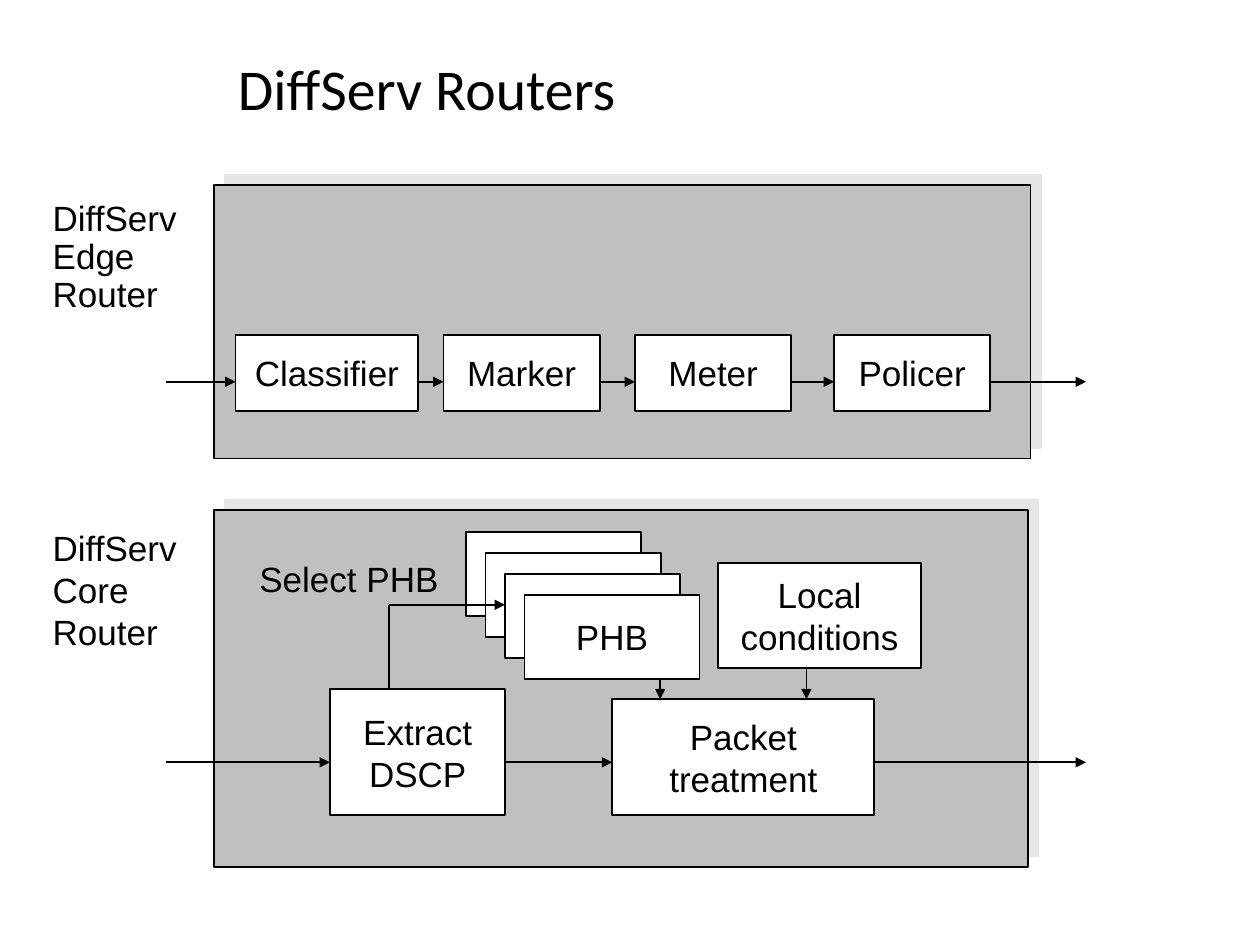
from dataclasses import dataclass
from itertools import pairwise
from typing import NamedTuple

from lxml.etree import SubElement
from pptx import Presentation
from pptx.dml.color import RGBColor
from pptx.enum.shapes import MSO_CONNECTOR, MSO_SHAPE
from pptx.enum.text import MSO_ANCHOR, PP_ALIGN
from pptx.oxml.ns import qn
from pptx.util import Inches, Pt


@dataclass(frozen=True)
class Theme:
    ink: str = "000000"
    panel: str = "C0C0C0"
    paper: str = "FFFFFF"
    shadow: str = "E7E6E6"
    title_font: str = "Calibri"
    body_font: str = "Arial"
    title_size: float = 33
    body_size: float = 20
    line_width: float = 1


class Area(NamedTuple):
    """A rectangle in percent of the slide's width and height."""
    left: float
    top: float
    width: float
    height: float

    @property
    def right(self):
        return self.left + self.width

    @property
    def bottom(self):
        return self.top + self.height


THEME = Theme()
SLIDE_WIDTH, SLIDE_HEIGHT = Inches(10), Inches(7.5)
FLOW_START, FLOW_END = 13.2, 86.2


def across(percent):
    return round(SLIDE_WIDTH * percent / 100)


def down(percent):
    return round(SLIDE_HEIGHT * percent / 100)


def place(area):
    return across(area.left), down(area.top), across(area.width), down(area.height)


def write(shape, text, centred=True, anchor=MSO_ANCHOR.MIDDLE, spacing=None,
          font=THEME.body_font, size=THEME.body_size):
    frame = shape.text_frame
    frame.text = text
    frame.word_wrap = not centred
    frame.vertical_anchor = anchor
    for paragraph in frame.paragraphs:
        paragraph.alignment = PP_ALIGN.CENTER if centred else PP_ALIGN.LEFT
        paragraph.line_spacing = spacing
        for run in paragraph.runs:
            run.font.name = font
            run.font.size = Pt(size)
            run.font.color.rgb = RGBColor.from_string(THEME.ink)


def add_label(slide, area, text, **style):
    write(slide.shapes.add_textbox(*place(area)), text, **style)


def add_box(slide, area, text="", preset=MSO_SHAPE.RECTANGLE, fill=THEME.paper):
    shape = slide.shapes.add_shape(preset, *place(area))
    shape.shadow.inherit = False
    shape.fill.solid()
    shape.fill.fore_color.rgb = RGBColor.from_string(fill)
    shape.line.color.rgb = RGBColor.from_string(THEME.ink)
    shape.line.width = Pt(THEME.line_width)
    if text:
        write(shape, text)
    return shape


def add_router(slide, area):
    """A grey panel with a hard shadow to the upper right."""
    panel = add_box(slide, area, fill=THEME.panel)
    effects = panel._element.spPr.find(qn("a:effectLst"))
    shadow = SubElement(effects, qn("a:outerShdw"), dist=str(Pt(8.5)),
                        dir=str(315 * 60000), algn="ctr", rotWithShape="0")
    SubElement(shadow, qn("a:srgbClr"), val=THEME.shadow)


def add_line(slide, start, end, arrow=True):
    line = slide.shapes.add_connector(
        MSO_CONNECTOR.STRAIGHT, across(start[0]), down(start[1]), across(end[0]), down(end[1]))
    line.line.color.rgb = RGBColor.from_string(THEME.ink)
    line.line.width = Pt(THEME.line_width)
    if arrow:
        SubElement(line.line._get_or_add_ln(), qn("a:tailEnd"), type="triangle")
    SubElement(line._element.spPr, qn("a:effectLst"))


def add_flow(slide, areas, level):
    """Arrows into, between and out of a row of boxes."""
    starts = [FLOW_START] + [area.right for area in areas]
    ends = [area.left for area in areas] + [FLOW_END]
    for start, end in zip(starts, ends):
        add_line(slide, (start, level), (end, level))


def add_edge_router(slide):
    add_router(slide, Area(17, 19.6, 64.8, 28.93))
    add_label(slide, Area(3.2, 20.67, 12.7, 13.47), "DiffServ\vEdge\vRouter",
              centred=False, anchor=MSO_ANCHOR.TOP, spacing=0.9)
    steps = {"Classifier": (18.7, 14.5), "Marker": (35.2, 12.4),
             "Meter": (50.4, 12.4), "Policer": (66.2, 12.4)}
    areas = [Area(left, 35.47, width, 8) for left, width in steps.values()]
    for name, area in zip(steps, areas):
        add_box(slide, area, name)
    add_flow(slide, areas, 40.4)


def add_core_router(slide):
    add_router(slide, Area(17, 54, 64.6, 37.73))
    add_label(slide, Area(3.2, 55.07, 12.7, 14.8), "DiffServ\vCore\vRouter",
              centred=False, anchor=MSO_ANCHOR.TOP)
    process = MSO_SHAPE.FLOWCHART_PROCESS
    extract = Area(26.2, 72.93, 13.9, 13.33)
    conditions = Area(57, 59.6, 16.1, 11.07)
    treatment = Area(48.6, 74, 20.8, 12.27)
    add_box(slide, extract, "Extract\nDSCP", process)
    add_box(slide, conditions, "Local\nconditions", process)
    add_box(slide, treatment, "Packet\ntreatment")

    # Stack of per-hop behaviours, the front one named
    cards = [Area(37 + 1.54 * step, 56.27 + 2.22 * step, 13.9, 8.93) for step in range(4)]
    for card in cards:
        add_box(slide, card, "PHB" if card is cards[-1] else "", process)

    # Selection path from the extracted code point to the stack
    add_label(slide, Area(19.6, 58.4, 16.2, 5.73), "Select PHB")
    path_points = [(30.9, extract.top), (30.9, 64), (cards[2].left, 64)]
    for start, end in pairwise(path_points):
        add_line(slide, start, end, arrow=end is path_points[-1])

    # Inputs to the packet treatment
    for column, source in ((52.4, cards[-1]), (64, conditions)):
        add_line(slide, (column, source.bottom), (column, treatment.top))
    add_flow(slide, [extract, treatment], 80.67)


def main():
    presentation = Presentation()
    presentation.slide_width, presentation.slide_height = SLIDE_WIDTH, SLIDE_HEIGHT
    slide = presentation.slides.add_slide(presentation.slide_layouts[6])
    add_label(slide, Area(17.9, 3.33, 54.7, 12.67), "DiffServ Routers", centred=False,
              spacing=0.9, font=THEME.title_font, size=THEME.title_size)
    add_edge_router(slide)
    add_core_router(slide)
    presentation.save("out.pptx")


if __name__ == "__main__":
    main()
